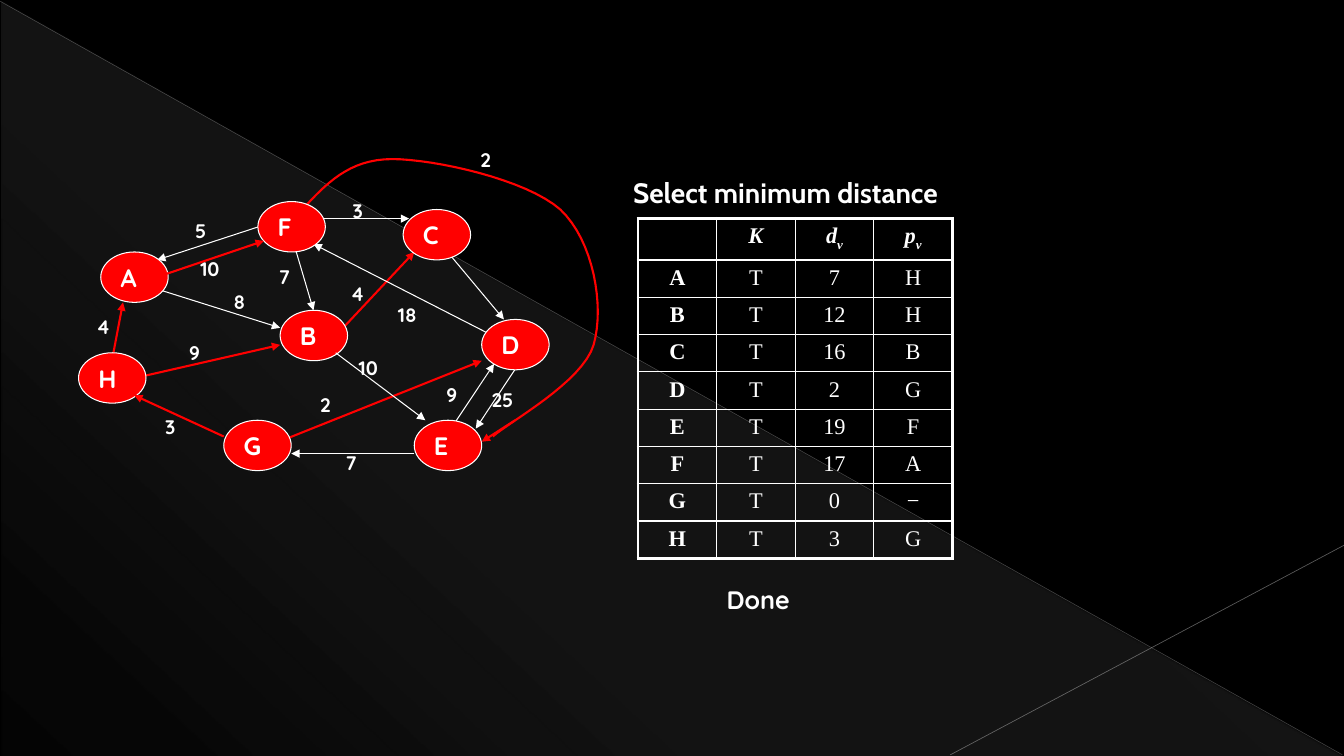
from dataclasses import dataclass

from lxml.etree import SubElement
from pptx import Presentation
from pptx.dml.color import RGBColor
from pptx.enum.shapes import MSO_CONNECTOR as Connector, MSO_SHAPE as Preset
from pptx.enum.text import MSO_ANCHOR as Anchor, MSO_AUTO_SIZE as AutoSize, PP_ALIGN as Align
from pptx.oxml import parse_xml
from pptx.oxml.ns import nsdecls, qn
from pptx.util import Cm, Pt


@dataclass(frozen=True)
class Theme:
    back: str = "000000"
    ink: str = "FFFFFF"
    accent: str = "FF0000"
    facet: str = "D2D2D2"
    upper_ray: str = "BFBFBF"
    lower_ray: str = "C6C6C6"
    title_font: str = "Cabin"
    graph_font: str = "Quicksand"
    table_font: str = "Times New Roman"
    title_size: float = 20
    node_size: float = 18
    weight_size: float = 14
    table_size: float = 16
    thin: float = 0.75
    thick: float = 1.5
    grid: float = 1
    frame: float = 2.25


def write(para, text, font, size, color, bold=True, italic=False, baseline=0):
    """Add one formatted span to a paragraph."""
    span = para.add_run()
    span.text = text
    span.font.name, span.font.size = font, Pt(size)
    span.font.bold, span.font.italic = bold, italic
    span.font.color.rgb = RGBColor.from_string(color)
    if baseline:
        span.font._element.set("baseline", str(baseline * 1000))


class GraphPage:
    def __init__(self, deck, theme):
        self.theme = theme
        self.page = deck.slides.add_slide(deck.slide_layouts[5])
        self.shapes = self.page.shapes
        fill = self.page.background.fill
        fill.solid()
        fill.fore_color.rgb = RGBColor.from_string(theme.back)

    def title(self, text, left, top, width, height):
        box = self.shapes.title
        box.left, box.top, box.width, box.height = map(Cm, (left, top, width, height))
        frame = box.text_frame
        frame.word_wrap, frame.auto_size = True, AutoSize.NONE
        frame.vertical_anchor = Anchor.TOP
        frame.paragraphs[0].alignment = Align.LEFT
        write(frame.paragraphs[0], text, self.theme.title_font,
              self.theme.title_size, self.theme.ink)

    def facet(self, left, top, width, height, stops, angle):
        box = self.shapes.add_shape(Preset.RIGHT_TRIANGLE, *map(Cm, (left, top, width, height)))
        box.shadow.inherit = False
        box.line.fill.background()
        marks = "".join(
            f'<a:gs pos="{spot * 1000}"><a:srgbClr val="{self.theme.facet}">'
            f'<a:alpha val="{alpha * 1000}"/></a:srgbClr></a:gs>' for spot, alpha in stops)
        gradient = parse_xml(f'<a:gradFill {nsdecls("a")} rotWithShape="1"><a:gsLst>{marks}</a:gsLst>'
                             f'<a:lin ang="{angle * 60000}" scaled="0"/></a:gradFill>')
        box._element.spPr.find(qn("a:prstGeom")).addnext(gradient)

    def line(self, ends, color, width, alpha=None, arrow=False):
        link = self.shapes.add_connector(Connector.STRAIGHT, *map(Cm, ends))
        link.line.color.rgb = RGBColor.from_string(color)
        link.line.width = Pt(width)
        properties = link._element.spPr
        if alpha:
            tint = next(properties.iter(qn("a:srgbClr")))
            SubElement(tint, qn("a:alpha"), val=str(alpha * 1000))
        if arrow:
            SubElement(properties.find(qn("a:ln")), qn("a:tailEnd"), type="triangle")
        SubElement(properties, qn("a:effectLst"))

    def edge(self, ends, chosen):
        theme = self.theme
        color, width = (theme.accent, theme.thick) if chosen else (theme.ink, theme.thin)
        self.line(ends, color, width, arrow=True)

    def curve(self, start, pieces, steps=16):
        """Draw joined cubic curves as one open outline."""
        points, begin = [], start
        for controls in pieces:
            knots = (begin, *controls)
            for step in range(1, steps + 1):
                t = step / steps
                weights = ((1 - t) ** 3, 3 * t * (1 - t) ** 2, 3 * t * t * (1 - t), t ** 3)
                points.append(tuple(Cm(sum(w * knot[axis] for w, knot in zip(weights, knots)))
                                    for axis in (0, 1)))
            begin = controls[-1]
        builder = self.shapes.build_freeform(*map(Cm, start))
        builder.add_line_segments(points, close=False)
        bow = builder.convert_to_shape()
        bow.shadow.inherit = False
        bow.fill.background()
        bow.line.color.rgb = RGBColor.from_string(self.theme.accent)
        bow.line.width = Pt(self.theme.thick)

    def node(self, name, left, top):
        theme = self.theme
        box = self.shapes.add_shape(Preset.OVAL, Cm(left), Cm(top), Cm(1.7), Cm(1.27))
        box.shadow.inherit = False
        box.fill.solid()
        box.fill.fore_color.rgb = RGBColor.from_string(theme.accent)
        box.line.color.rgb = RGBColor.from_string(theme.ink)
        box.line.width = Pt(theme.thin)
        frame = box.text_frame
        frame.word_wrap, frame.vertical_anchor = False, Anchor.MIDDLE
        frame.paragraphs[0].alignment = Align.LEFT
        write(frame.paragraphs[0], name, theme.graph_font, theme.node_size, theme.ink)

    def label(self, text, left, top, width, height, size):
        box = self.shapes.add_textbox(*map(Cm, (left, top, width, height)))
        box.text_frame.word_wrap = True
        write(box.text_frame.paragraphs[0], text, self.theme.graph_font, size, self.theme.ink)

    def weight(self, text, left, top):
        width = 1.12 if len(text) == 1 else 1.78
        self.label(text, left, top, width, 0.85, self.theme.weight_size)

    def table(self, left, top, column, heading, row, header, records):
        theme = self.theme
        count, columns = len(records) + 1, len(header)
        grid = self.shapes.add_table(count, columns, Cm(left), Cm(top), Cm(column * columns),
                                     Cm(heading + row * len(records))).table
        grid.first_row = grid.horz_banding = False
        for strip in grid.columns:
            strip.width = Cm(column)
        for r, values in enumerate((header, *records)):
            grid.rows[r].height = Cm(row if r else heading)
            for c, value in enumerate(values):
                cell = grid.cell(r, c)
                cell.margin_left = cell.margin_right = Cm(0.33)
                cell.margin_top = cell.margin_bottom = Cm(0.13)
                outer = {"L": c == 0, "R": c == columns - 1, "T": r == 0, "B": r == count - 1}
                self.borders(cell, outer)
                cell.fill.background()
                para = cell.text_frame.paragraphs[0]
                para.alignment = Align.CENTER
                style = dict(font=theme.table_font, size=theme.table_size, color=theme.ink,
                             bold=r == 0 or c == 0, italic=r == 0)
                main, _, subscript = value.partition("_")
                if main:
                    write(para, main, **style)
                if subscript:
                    write(para, subscript, baseline=-25, **style)

    def borders(self, cell, outer):
        for side, is_frame in outer.items():
            width = Pt(self.theme.frame if is_frame else self.theme.grid)
            rule = SubElement(cell._tc.get_or_add_tcPr(), qn(f"a:ln{side}"), w=str(width))
            SubElement(SubElement(rule, qn("a:solidFill")), qn("a:srgbClr"), val=self.theme.ink)


# Graph data in centimetres
NODES = {"A": (2.54, 6.35), "H": (1.98, 8.89), "B": (7.06, 7.82), "F": (6.5, 5.08),
         "E": (10.44, 10.59), "D": (12.14, 8.05), "C": (10.16, 5.28), "G": (5.64, 10.59)}

# Each edge: ends, on the shortest-path tree or not, weight and its place
EDGES = [
    ((13.39, 8.69, 11.99, 10.8), False, ("25", 12.14, 9.65)),
    ((7.34, 5.92, 7.9, 7.82), False, ("7", 6.78, 6.55)),
    ((8.46, 8.46, 10.44, 6.35), True, ("4", 8.59, 6.99)),
    ((12.42, 8.46, 7.9, 6.15), False, ("18", 9.78, 7.52)),
    ((11.33, 10.85, 12.45, 9.17), False, ("9", 11, 9.53)),
    ((3.38, 9.53, 7.06, 8.69), True, ("9", 4.52, 8.46)),
    ((6.78, 11.23, 12.14, 9.09), True, ("2", 7.82, 9.78)),
    ((2.82, 9.09, 3.1, 7.62), True, ("4", 2.18, 7.82)),
    ((3.66, 7.19, 7.06, 8.26), False, ("8", 5.64, 7.19)),
    ((6.5, 5.72, 3.96, 6.55), False, ("5", 4.67, 5.38)),
    ((8.08, 5.51, 10.31, 5.51), False, ("3", 8.64, 4.88)),
    ((11.28, 6.35, 12.7, 8.05), False, None),
]
FRONT_EDGES = [
    ((8.46, 8.89, 10.72, 10.59), False, ("10", 8.79, 8.84)),
    ((10.44, 11.43, 7.34, 11.43), False, ("7", 8.46, 11.23)),
    ((5.64, 11, 3.38, 9.96), True, ("3", 3.91, 10.34)),
    ((4.11, 6.93, 6.65, 6.07), True, ("10", 4.8, 6.35)),
    ((12.98, 10.59, 12.14, 11.13), True, ("2", 11.86, 3.61)),
]
BOW = [((8.2, 4.65), (8.79, 4.01), (9.88, 4.01)), ((10.95, 4.01), (13.26, 4.52), (14.12, 5.28)),
       ((14.96, 6.07), (15.24, 7.72), (14.96, 8.69)), ((14.68, 9.63), (12.85, 10.62), (12.42, 11))]
HEADER = ("", "K", "d_v", "p_v")
DISTANCES = [("A", "7", "H"), ("B", "12", "H"), ("C", "16", "B"), ("D", "2", "G"),
             ("E", "19", "F"), ("F", "17", "A"), ("G", "0", "−"), ("H", "3", "G")]


def main():
    deck, theme = Presentation(), Theme()
    deck.slide_width, deck.slide_height = Cm(33.87), Cm(19.05)
    page = GraphPage(deck, theme)

    # Backdrop
    page.facet(0.03, 0.05, 33.81, 19, [(0, 10), (70, 8), (100, 1)], 133)
    page.line((0, 0.03, 33.83, 19.02), theme.upper_ray, 0.39, alpha=35)
    page.line((33.87, 13.74, 23.95, 19.02), theme.lower_ray, 0.47, alpha=45)

    # Graph
    page.curve((7.62, 5.28), BOW)
    for ends, chosen, _ in EDGES:
        page.edge(ends, chosen)
    for name, place in NODES.items():
        page.node(name, *place)
    for ends, chosen, _ in FRONT_EDGES:
        page.edge(ends, chosen)
    for *_, weight in EDGES + FRONT_EDGES:
        if weight:
            page.weight(*weight)

    # Distance table
    page.title("Select minimum distance", 15.7, 4.29, 11, 1.09)
    page.table(16.08, 5.5, 1.98, 1.05, 0.94, HEADER,
               [(node, "T", distance, parent) for node, distance, parent in DISTANCES])
    page.label("Done", 18.06, 14.61, 3.96, 1.02, theme.node_size)
    deck.save("out.pptx")


if __name__ == "__main__":
    main()
